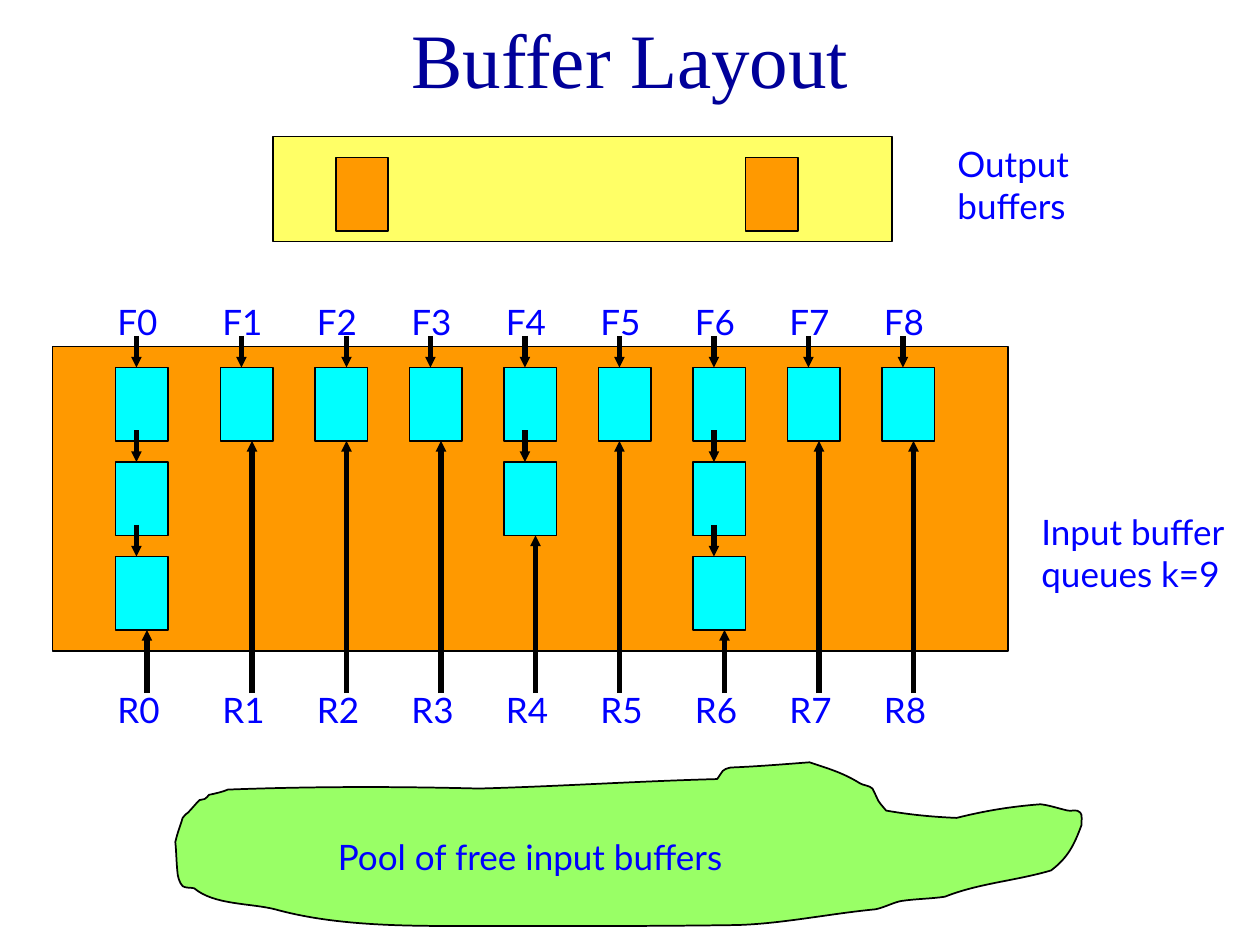
from lxml.etree import SubElement
from pptx import Presentation
from pptx.dml.color import RGBColor
from pptx.enum.shapes import MSO_CONNECTOR, MSO_SHAPE
from pptx.enum.text import MSO_ANCHOR, MSO_AUTO_SIZE, PP_ALIGN
from pptx.oxml.ns import qn
from pptx.util import Pt

PX = 7620
BLACK, BLUE, NAVY = "000000", "0000FF", "000099"
YELLOW, ORANGE, CYAN, GREEN = "FFFF66", "FF9900", "00FFFF", "99FF66"
BUFFER_W, BUFFER_H = 50, 70
QUEUE_LENGTHS = [3, 1, 1, 1, 2, 1, 3, 1, 1]
POOL_START = (516, 16)
POOL_CURVES = [
    (440, 18), (365, 23), (289, 25), (209, 23), (130, 23), (50, 26),
    (46, 28), (37, 30), (32, 31), (31, 32), (30, 34), (28, 35),
    (26, 36), (25, 36), (23, 36), (19, 40), (16, 44), (12, 48),
    (10, 49), (7, 53), (7, 53), (5, 60), (2, 67), (0, 76),
    (1, 85), (1, 95), (2, 104), (2, 108), (4, 115), (7, 118),
    (10, 120), (14, 119), (18, 120), (37, 136), (71, 134), (95, 140),
    (167, 160), (254, 155), (326, 156), (395, 156), (464, 156), (534, 155),
    (577, 154), (624, 144), (667, 140), (676, 138), (685, 133), (692, 132),
    (706, 130), (720, 130), (733, 128), (766, 115), (800, 113), (834, 103),
    (850, 91), (856, 79), (863, 60), (863, 56), (864, 50), (862, 48),
    (859, 44), (853, 47), (850, 46), (841, 44), (833, 41), (824, 40),
    (797, 42), (772, 46), (744, 53), (721, 52), (700, 50), (677, 46),
    (667, 34), (672, 41), (664, 25), (661, 22), (655, 22), (652, 20),
    (636, 10), (622, 6), (604, 0), (578, 2), (554, 4), (529, 5),
    (520, 7), (522, 8), (516, 16),
]


def px(*lengths):
    """Turn pixel lengths into EMU."""
    return [length * PX for length in lengths]


def color(hex_code):
    """Turn a hex string into a colour."""
    return RGBColor.from_string(hex_code)


def paint(shape, fill):
    """Give a shape a flat fill and a thin black outline."""
    shape.shadow.inherit = False
    shape.fill.solid()
    shape.fill.fore_color.rgb = color(fill)
    shape.line.color.rgb = color(BLACK)
    shape.line.width = Pt(1)


def write(paragraph, text, font_name, size, hex_code):
    """Add one formatted run to a paragraph."""
    run = paragraph.add_run()
    run.text = text
    run.font.name = font_name
    run.font.size = Pt(size)
    run.font.color.rgb = color(hex_code)


def add_rectangle(shapes, left, top, width, height, fill):
    """Draw an outlined rectangle."""
    box = px(left, top, width, height)
    paint(shapes.add_shape(MSO_SHAPE.RECTANGLE, *box), fill)


def add_label(shapes, text, left, top, width, height=53):
    """Place a blue label that wraps within its box."""
    frame = shapes.add_textbox(*px(left, top, width, height)).text_frame
    frame.word_wrap = True
    frame.auto_size = MSO_AUTO_SIZE.SHAPE_TO_FIT_TEXT
    write(frame.paragraphs[0], text, "Lato", 20, BLUE)


def add_arrow(shapes, x, start, end):
    """Draw a thick vertical arrow with a small head."""
    arrow = shapes.add_connector(MSO_CONNECTOR.STRAIGHT, *px(x, start, x, end))
    arrow.line.color.rgb = color(BLACK)
    arrow.line.width = Pt(3)
    outline = arrow.line._get_or_add_ln()
    SubElement(outline, qn("a:tailEnd"), type="triangle", w="sm", len="sm")
    SubElement(arrow._element.spPr, qn("a:effectLst"))


def add_title(slide, left, top, width, height):
    """Move and format the slide title."""
    title = slide.shapes.title
    title.left, title.top, title.width, title.height = px(left, top, width, height)
    frame = title.text_frame
    frame.vertical_anchor = MSO_ANCHOR.MIDDLE
    frame.paragraphs[0].alignment = PP_ALIGN.CENTER
    write(frame.paragraphs[0], "Buffer Layout", "Times New Roman", 44, NAVY)


def add_output_buffers(slide, left, top, width, height):
    """Draw the output area with its two buffers and label."""
    shapes = slide.shapes.add_group_shape().shapes
    add_rectangle(shapes, left, top, width, height, YELLOW)
    for offset in (60, 450):
        add_rectangle(shapes, left + offset, top + 20, BUFFER_W, BUFFER_H, ORANGE)
    add_label(shapes, "Output buffers", left + width + 50, top, 200, 92)


def add_queue(shapes, index, length, left, top, rear):
    """Draw one linked queue with its front and rear pointers."""
    front_x = left + (30 if index == 2 else 20)
    rear_x = left + (20 if index == 5 else 30)
    add_label(shapes, f"F{index}", left - 10, top - 70, 90)
    add_label(shapes, f"R{index}", left - 10, rear - 10, 90)
    tops = [top + 90 * row for row in range(length)]
    for buffer_top in tops:
        add_rectangle(shapes, left, buffer_top, BUFFER_W, BUFFER_H, CYAN)
    for buffer_top in tops:
        add_arrow(shapes, front_x, buffer_top - 30, buffer_top)
    add_arrow(shapes, rear_x, rear, tops[-1] + BUFFER_H)


def add_input_queues(slide, left, top, width, height):
    """Draw the input area with its nine queues and label."""
    shapes = slide.shapes.add_group_shape().shapes
    add_label(shapes, "Input buffer queues k=9", left + width + 20, top + 150, 200, 173)
    add_rectangle(shapes, left, top, width, height, ORANGE)
    for index, length in enumerate(QUEUE_LENGTHS):
        queue_left = left + 90 * index + (70 if index else 60)
        add_queue(shapes, index, length, queue_left, top + 20, top + height + 40)


def add_pool(slide, left, top):
    """Draw the curved pool of free buffers with its label."""
    shapes = slide.shapes.add_group_shape().shapes
    builder = shapes.build_freeform(*POOL_START, scale=PX)
    builder.add_line_segments(POOL_CURVES, close=True)
    pool = builder.convert_to_shape(*px(left, top))
    segments = list(pool._element.iter(qn("a:lnTo")))
    for first in range(0, len(segments), 3):
        curve = SubElement(segments[first].getparent(), qn("a:cubicBezTo"))
        segments[first].addprevious(curve)
        for segment in segments[first:first + 3]:
            curve.append(segment[0])
            segment.getparent().remove(segment)
    paint(pool, GREEN)
    add_label(shapes, "Pool of free input buffers", left + 143, top + 64, 490)


def main():
    """Build and save the slide."""
    deck = Presentation()
    deck.slide_width, deck.slide_height = px(1200, 900)
    slide = deck.slides.add_slide(deck.slide_layouts[5])
    add_title(slide, 90, 0, 1020, 110)
    add_output_buffers(slide, 260, 130, 590, 100)
    add_input_queues(slide, 50, 330, 910, 290)
    add_pool(slide, 167, 726)
    deck.save("out.pptx")


if __name__ == "__main__":
    main()
